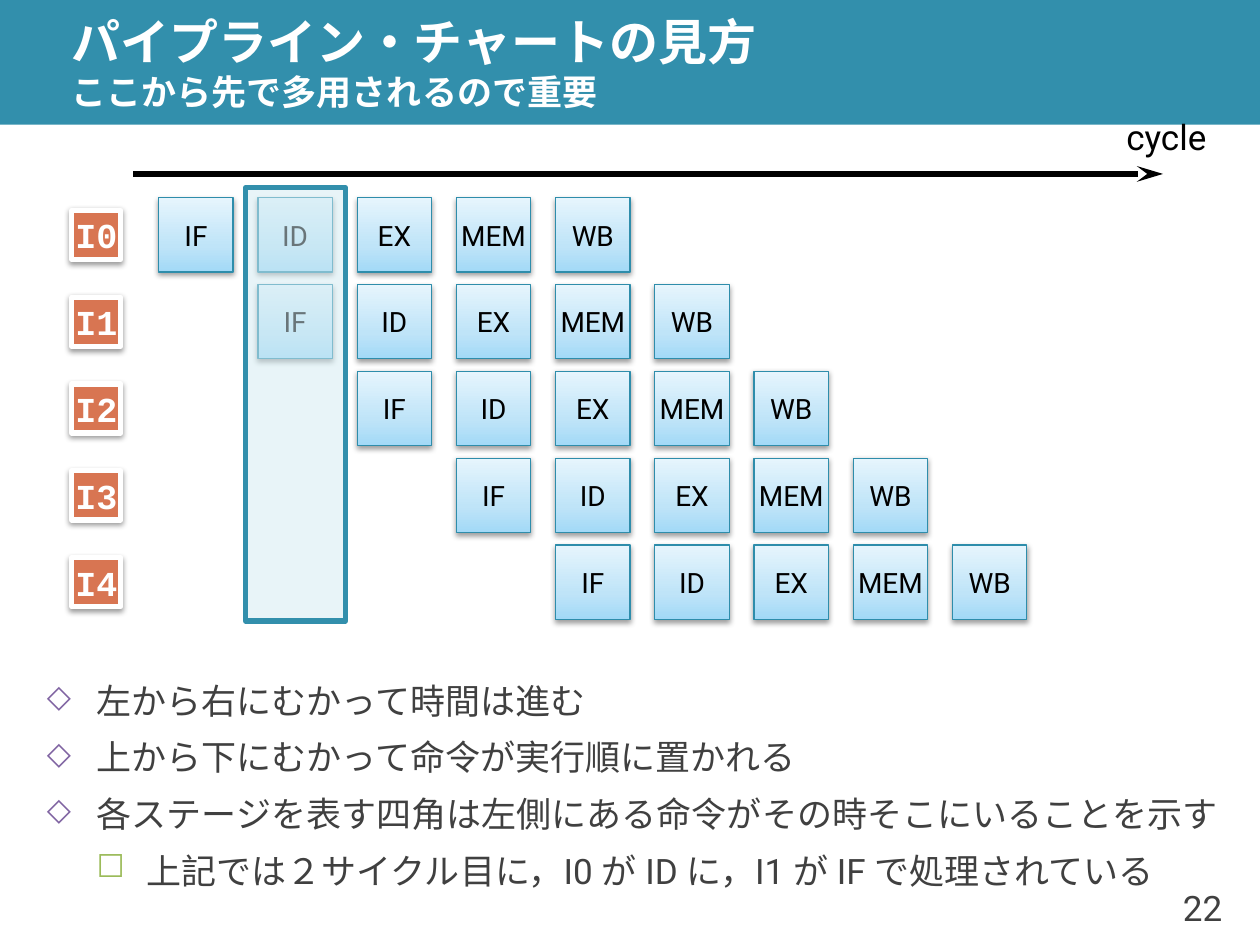
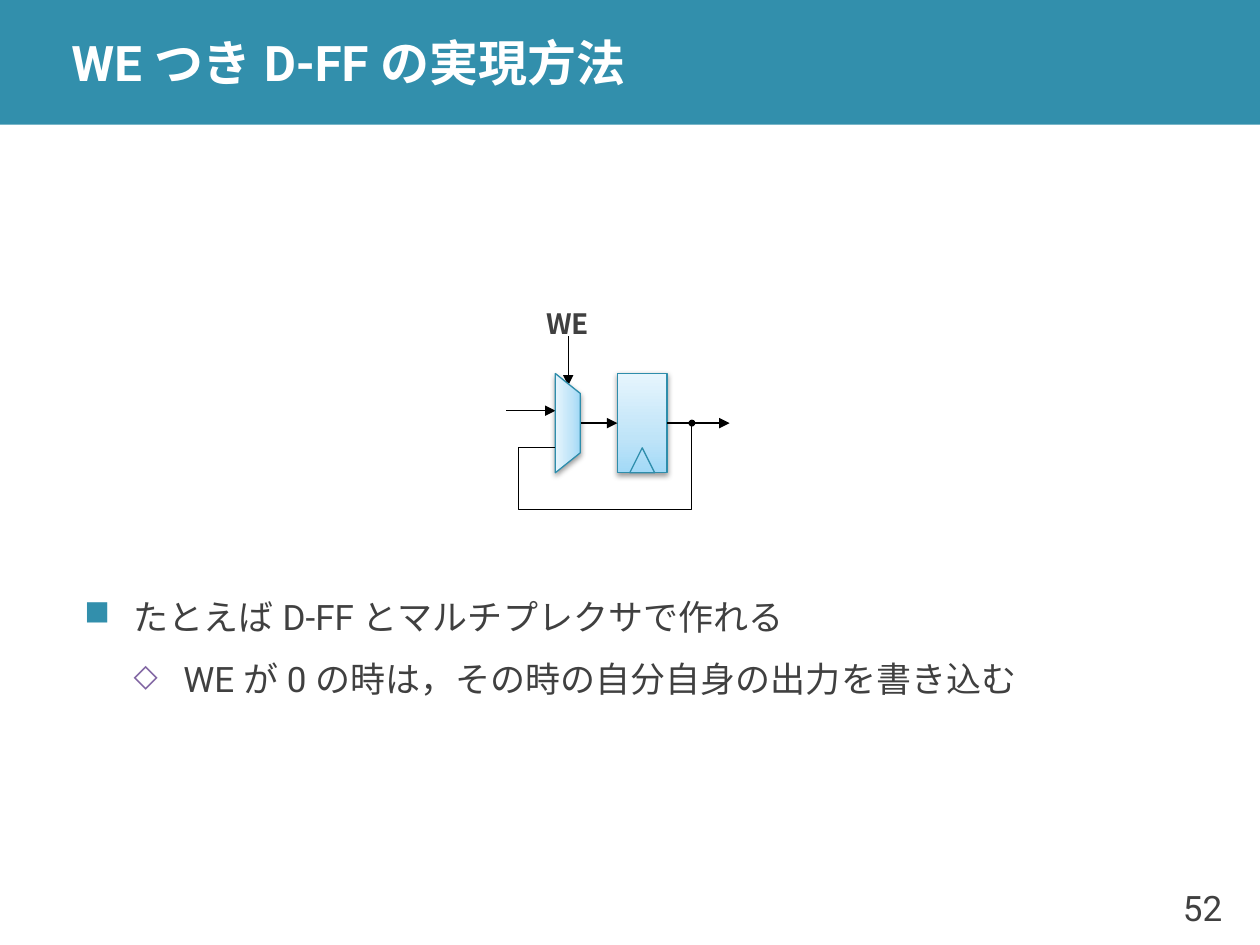
import pptx
import pptx.dml.color
import pptx.enum.shapes
import pptx.enum.text
import pptx.oxml.ns
import pptx.util
from lxml import etree

Pt = pptx.util.Pt
qn = pptx.oxml.ns.qn
SHAPE = pptx.enum.shapes.MSO_SHAPE
ALIGN = pptx.enum.text.PP_ALIGN
MIDDLE = pptx.enum.text.MSO_ANCHOR.MIDDLE

COLORS = {
    "band": "328FAC", "white": "FFFFFF", "black": "000000", "body": "404040",
    "outline": "2E8DAB", "instruction": "D87552", "highlight": "D2EBF2",
    "diamond": "8064A2", "check": "9BBB59",
}
BLUE_GRADIENT = [(0, "A2D9F7"), (35, "BFE4F8"), (100, "E6F5FD")]
BODY_FONT, CODE_FONT, LABEL_FONT = "Roboto", "Courier New", "Noto Sans CJK JP"

# Outline levels: bullet, colour, size in percent, left indent, space before, space after
LEVELS = [
    ("■", "band", 100, 28.35, 24, 6),
    ("◇", "diamond", 90, 56.7, 3, 3),
    ("☐", "check", 90, 85.05, 3, 1),
]
HANGING = 28.35

CHART_TITLE = [("パイプライン・チャートの見方", 28), ("ここから先で多用されるので重要", 20)]
CHART_NOTES = [
    (1, "左から右にむかって時間は進む"),
    (1, "上から下にむかって命令が実行順に置かれる"),
    (1, "各ステージを表す四角は左側にある命令がその時そこにいることを示す"),
    (2, "上記では２サイクル目に，I0 が ID に，I1 が IF で処理されている"),
]
INSTRUCTIONS = ["I0", "I1", "I2", "I3", "I4"]
STAGES = ["IF", "ID", "EX", "MEM", "WB"]
STAGE_LEFT, STAGE_TOP, STAGE_SIZE = 90.7, 113, 42.5
CYCLE_STEP, ROW_STEP = 56.7, 49.6

FLIPFLOP_TITLE = [("WE つき D-FF の実現方法", 28)]
FLIPFLOP_NOTES = [
    (0, "たとえば D-FF とマルチプレクサで作れる"),
    (1, "WE が 0 の時は，その時の自分自身の出力を書き込む"),
]
FEEDBACK = [(395.4, 241.8), (395.4, 291.4), (296.2, 291.4), (296.2, 255.8), (317.4, 255.8)]


def rgb(color):
    return pptx.dml.color.RGBColor.from_string(COLORS[color])


def points(*lengths):
    return [Pt(length) for length in lengths]


def set_font(paragraph, color, size=None, name=BODY_FONT, bold=False):
    font = paragraph.font
    font.name, font.bold = name, bold
    font.color.rgb = rgb(color)
    if size:
        font.size = Pt(size)
    east_asian = etree.SubElement(paragraph._p.pPr.find(qn("a:defRPr")), qn("a:ea"))
    east_asian.set("typeface", name)


def set_frame(shape, insets=(7.2, 3.6), wrap=False):
    frame = shape.text_frame
    frame.word_wrap, frame.vertical_anchor = wrap, MIDDLE
    frame.margin_left = frame.margin_right = Pt(insets[0])
    frame.margin_top = frame.margin_bottom = Pt(insets[1])
    return frame


def write(shape, text, color, size, name=BODY_FONT, bold=False, align=ALIGN.CENTER, insets=(7.2, 3.6)):
    paragraph = set_frame(shape, insets).paragraphs[0]
    paragraph.text, paragraph.alignment = text, align
    set_font(paragraph, color, size, name, bold)


def add_box(slide, kind, box, fill=None, line=None, width=0.75):
    shape = slide.shapes.add_shape(kind, *points(*box))
    shape.shadow.inherit = False
    if fill:
        shape.fill.solid()
        shape.fill.fore_color.rgb = rgb(fill)
    else:
        shape.fill.background()
    if line:
        shape.line.color.rgb = rgb(line)
        shape.line.width = Pt(width)
    else:
        shape.line.fill.background()
    return shape


def add_shadow(shape):
    effects = shape._element.spPr.find(qn("a:effectLst"))
    shadow = etree.SubElement(effects, qn("a:outerShdw"), blurRad="40000", dist="20000",
                              dir="5400000", rotWithShape="0")
    color = etree.SubElement(shadow, qn("a:srgbClr"), val=COLORS["black"])
    etree.SubElement(color, qn("a:alpha"), val="38000")


def add_blue_box(slide, kind, box):
    """Outlined shape with the light blue gradient and a soft shadow."""
    shape = add_box(slide, kind, box, line="outline")
    shape.fill.gradient()
    shape.fill.gradient_angle = 90
    stops = shape._element.spPr.find(".//" + qn("a:gsLst"))
    for stop in list(stops):
        stops.remove(stop)
    for position, color in BLUE_GRADIENT:
        stop = etree.SubElement(stops, qn("a:gs"), pos=str(position * 1000))
        etree.SubElement(stop, qn("a:srgbClr"), val=color)
    add_shadow(shape)
    return shape


def add_line_end(shape, end, kind, width="med", length="med"):
    etree.SubElement(shape.line._get_or_add_ln(), qn("a:" + end), type=kind, w=width, len=length)


def add_arrow(slide, start, end, width=0.75, head="triangle", length="med"):
    arrow = slide.shapes.add_connector(pptx.enum.shapes.MSO_CONNECTOR.STRAIGHT, *points(*start, *end))
    arrow.line.color.rgb = rgb("black")
    arrow.line.width = Pt(width)
    add_line_end(arrow, "tailEnd", head, length=length)
    etree.SubElement(arrow._element.spPr, qn("a:effectLst"))
    return arrow


def add_page(deck, title, number):
    """Blank slide with the title band and the page number."""
    slide = deck.slides.add_slide(deck.slide_layouts[6])
    add_box(slide, SHAPE.RECTANGLE, (0, 0, 720, 71.3), "band")
    page_number = slide.shapes.add_textbox(*points(657.4, 496.8, 48.2, 43.2))
    write(page_number, number, "body", 20, align=ALIGN.RIGHT)
    heading = slide.shapes.add_textbox(*points(33.8, 0, 686.2, 71.3))
    paragraph = set_frame(heading, (7.2, 0), wrap=True).paragraphs[0]
    for index, (text, size) in enumerate(title):
        if index:
            paragraph.add_line_break()
        run = paragraph.add_run()
        run.text, run.font.size = text, Pt(size)
    set_font(paragraph, "white", bold=True)
    return slide


def add_outline(slide, box, notes):
    frame = set_frame(slide.shapes.add_textbox(*points(*box)), wrap=True)
    for index, (level, text) in enumerate(notes):
        bullet, color, percent, indent, before, after = LEVELS[level]
        paragraph = frame.add_paragraph() if index else frame.paragraphs[0]
        paragraph.text, paragraph.level = text, level
        paragraph.line_spacing = 1.1
        paragraph.space_before = Pt(before if index else 0)
        paragraph.space_after = Pt(after)
        properties = paragraph._p.get_or_add_pPr()
        properties.set("marL", str(Pt(indent)))
        properties.set("indent", str(-Pt(HANGING)))
        bullet_color = etree.SubElement(properties, qn("a:buClr"))
        etree.SubElement(bullet_color, qn("a:srgbClr"), val=COLORS[color])
        etree.SubElement(properties, qn("a:buSzPct"), val=str(percent * 1000))
        etree.SubElement(properties, qn("a:buChar"), char=bullet)
        set_font(paragraph, "body", 20)


def add_pipeline_slide(deck):
    slide = add_page(deck, CHART_TITLE, "22")
    add_outline(slide, (-8.6, 426.2, 720, 42.5), CHART_NOTES)
    add_arrow(slide, (76.3, 99.4), (664.6, 99.4), 3, "stealth", "lg")
    for row, instruction in enumerate(INSTRUCTIONS):
        top = STAGE_TOP + row * ROW_STEP
        badge = add_box(slide, SHAPE.RECTANGLE, (41, top + 7.2, 28.1, 28.1), "instruction", "white", 3)
        add_shadow(badge)
        write(badge, instruction, "white", 20, CODE_FONT, bold=True)
        for cycle, stage in enumerate(STAGES, start=row):
            left = STAGE_LEFT + cycle * CYCLE_STEP
            write(add_blue_box(slide, SHAPE.RECTANGLE, (left, top, STAGE_SIZE, STAGE_SIZE)),
                  stage, "black", 16)
    second_cycle = add_box(slide, SHAPE.RECTANGLE, (140.4, 107.3, 56.9, 247.7), "highlight", "band", 3)
    fill_color = second_cycle._element.spPr.find(qn("a:solidFill"))[0]
    etree.SubElement(fill_color, qn("a:alpha"), val="50000")
    write(slide.shapes.add_textbox(*points(636.5, 64.1, 70, 28.1)), "cycle", "black", 20, align=ALIGN.LEFT)


def add_flipflop_slide(deck):
    slide = add_page(deck, FLIPFLOP_TITLE, "52")
    add_outline(slide, (41, 298.1, 652.3, 141.8), FLIPFLOP_NOTES)
    write(slide.shapes.add_textbox(*points(295.9, 170.6, 56.9, 28.1)), "WE", "body", 16,
          LABEL_FONT, bold=True, insets=(0, 0))
    add_arrow(slide, (289.4, 234.7), (317.5, 234.7))
    register = add_blue_box(slide, SHAPE.RECTANGLE, (352.8, 213.4, 28.4, 56.8))
    add_box(slide, SHAPE.ISOSCELES_TRIANGLE, (359.9, 255.9, 14.2, 14.2), line="outline")
    output = add_arrow(slide, (381.2, 241.8), (416.9, 241.8))
    output.begin_connect(register, 3)
    add_arrow(slide, (324.7, 192.2), (324.7, 220.3))
    multiplexer = add_blue_box(slide, SHAPE.FLOWCHART_MANUAL_OPERATION, (296.1, 234.7, 56.7, 14.2))
    multiplexer.rotation = 270
    builder = slide.shapes.build_freeform(*points(*FEEDBACK[0]))
    builder.add_line_segments([points(*corner) for corner in FEEDBACK[1:]], close=False)
    feedback = builder.convert_to_shape()
    feedback.shadow.inherit = False
    feedback.fill.background()
    feedback.line.color.rgb = rgb("black")
    feedback.line.width = Pt(0.5)
    add_line_end(feedback, "headEnd", "oval", "sm", "sm")
    selected = add_arrow(slide, (331.9, 241.8), (352.8, 241.8))
    selected.end_connect(register, 1)


def main():
    deck = pptx.Presentation()
    deck.slide_width, deck.slide_height = points(720, 540)
    add_pipeline_slide(deck)
    add_flipflop_slide(deck)
    deck.save("out.pptx")


if __name__ == "__main__":
    main()
